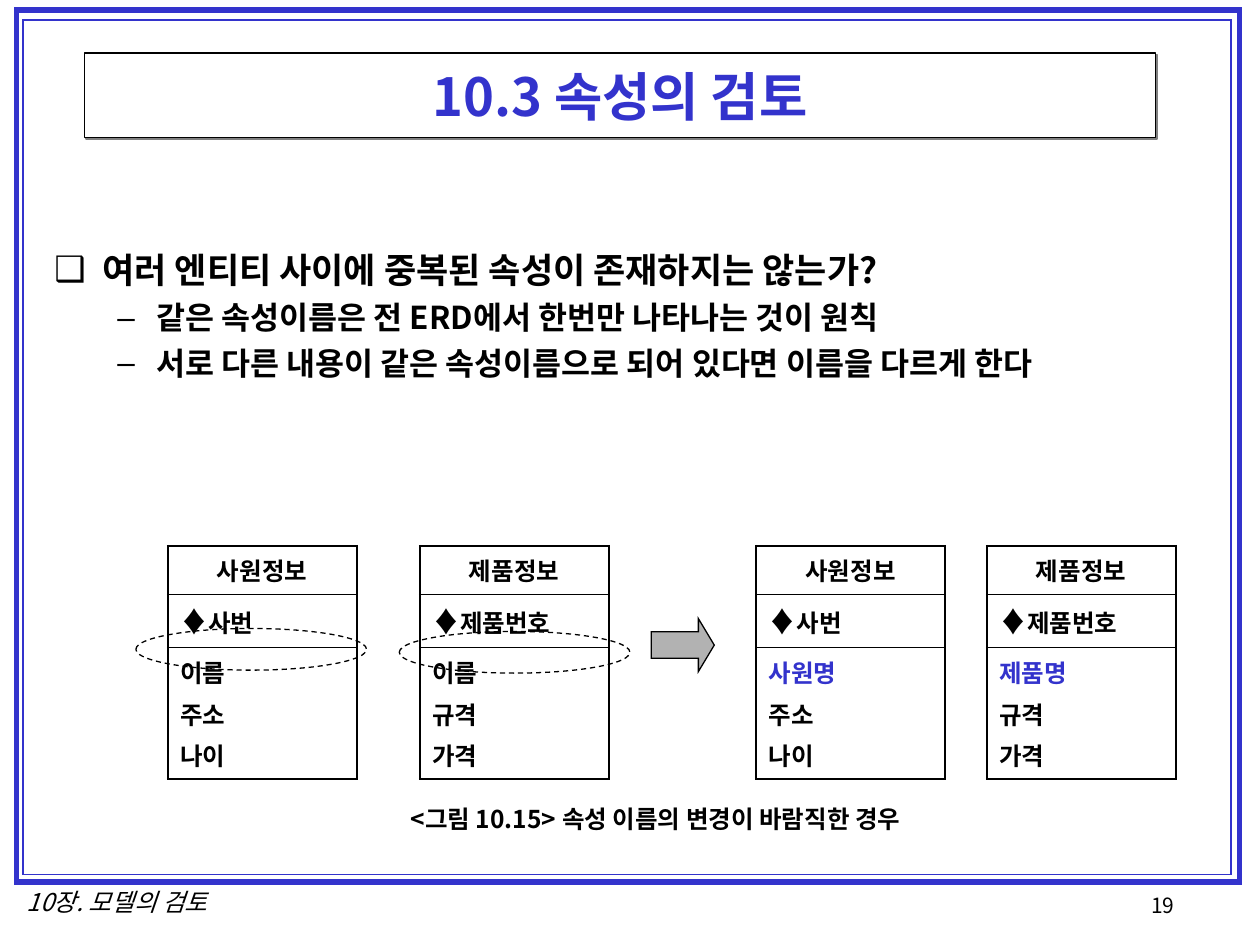
from lxml.etree import SubElement
from pptx import Presentation
from pptx.dml.color import RGBColor
from pptx.enum.dml import MSO_LINE_DASH_STYLE as Dash
from pptx.enum.shapes import MSO_SHAPE as Shape
from pptx.enum.text import MSO_ANCHOR as Anchor, MSO_AUTO_SIZE as AutoSize, PP_ALIGN as Align
from pptx.oxml import parse_xml
from pptx.oxml.ns import nsdecls, qn
from pptx.util import Cm, Pt

BLUE, BLACK, WHITE, GRAY, SHADOW = "3333CC", "000000", "FFFFFF", "B2B2B2", "808080"
KOREAN = "Noto Sans CJK KR"


def colour(hex_value):
    return RGBColor.from_string(hex_value)


def add_run(paragraph, wording, size, ink=BLACK, face=KOREAN, **formats):
    run = paragraph.add_run()
    run.text = wording
    for key, value in {"size": Pt(size), "name": face, **formats}.items():
        setattr(run.font, key, value)
    run.font.color.rgb = colour(ink)
    SubElement(run.font._element, qn("a:ea"), typeface=KOREAN)


deck = Presentation()
deck.slide_width, deck.slide_height = Cm(25.4), Cm(19.05)
slide = deck.slides.add_slide(deck.slide_layouts[1])
shapes = slide.shapes
heading, points = slide.placeholders

outlines = [
    (Shape.RECTANGLE, 0.33, 0.2, 24.66, 17.58, None, BLUE, 3, None),
    (Shape.RECTANGLE, 0.46, 0.41, 24.36, 17.22, None, BLUE, 1, None),
    (Shape.RIGHT_ARROW, 13.13, 12.47, 1.27, 1.07, GRAY, BLACK, 0.75, None),
    (Shape.OVAL, 2.74, 12.67, 4.65, 0.84, None, BLACK, 0.75, Dash.DASH),
    (Shape.OVAL, 8.05, 12.73, 4.65, 0.84, None, BLACK, 0.75, Dash.DASH),
]
marks = []
for kind, left, top, width, height, fill, ink, weight, dash in outlines:
    mark = shapes.add_shape(kind, Cm(left), Cm(top), Cm(width), Cm(height))
    mark.shadow.inherit = False
    if fill:
        mark.fill.solid()
        mark.fill.fore_color.rgb = colour(fill)
    else:
        mark.fill.background()
    mark.line.color.rgb = colour(ink)
    mark.line.width = Pt(weight)
    if dash:
        mark.line.dash_style = dash
    SubElement(mark._element.spPr.get_or_add_ln(), qn("a:miter"), lim="800000")
    marks.append(mark)
marks[2].adjustments[1] = 0.3
for frame in marks[1::-1]:
    shapes._spTree.insert(2, frame._element)

captions = [
    ("19", 22.96, 17.86, 2.59, 0.84, 12, Align.LEFT, {}),
    ("10장. 모델의 검토", 0.1, 17.75, 4.52, 0.86, 14, Align.CENTER, {"italic": True}),
    ("<그림 10.15> 속성 이름의 변경이 바람직한 경우", 8.03, 16.08, 10.95, 0.86, 14, Align.LEFT, {"bold": True}),
]
for wording, left, top, width, height, size, align, formats in captions:
    caption = shapes.add_textbox(Cm(left), Cm(top), Cm(width), Cm(height)).text_frame
    caption.word_wrap = False
    caption.auto_size = AutoSize.SHAPE_TO_FIT_TEXT
    caption.paragraphs[0].alignment = align
    add_run(caption.paragraphs[0], wording, size, **formats)

for holder, left, top, width, height in [
    (heading, 1.7, 1.07, 21.59, 1.7),
    (points, 0.84, 4.88, 23.55, 12.37),
]:
    for side, length in {"left": left, "top": top, "width": width, "height": height}.items():
        setattr(holder, side, Cm(length))

heading.fill.solid()
heading.fill.fore_color.rgb = colour(WHITE)
heading.line.color.rgb = colour(BLACK)
heading.line.width = Pt(0.75)
heading._element.spPr.append(parse_xml(
    f'<a:effectLst {nsdecls("a")}><a:outerShdw blurRad="0" dist="{Pt(1.4)}" dir="2700000" '
    f'algn="ctr" rotWithShape="0"><a:srgbClr val="{SHADOW}"/></a:outerShdw></a:effectLst>'))
heading.text_frame.vertical_anchor = Anchor.MIDDLE
heading_line = heading.text_frame.paragraphs[0]
heading_line.alignment = Align.CENTER
add_run(heading_line, "10.3 속성의 검토", 30, BLUE, bold=True)

questions = [
    ("여러 엔티티 사이에 중복된 속성이 존재하지는 않는가?", 0, 20, 5, 0.97, 0.97, "❑"),
    ("같은 속성이름은 전 ERD에서 한번만 나타나는 것이 원칙", 1, 18, 4.5, 2.06, 0.79, "–"),
    ("서로 다른 내용이 같은 속성이름으로 되어 있다면 이름을 다르게 한다", 1, 18, 4.5, 2.06, 0.79, "–"),
]
body = points.text_frame
for index, (wording, level, size, gap, margin, hanging, bullet) in enumerate(questions):
    question = body.add_paragraph() if index else body.paragraphs[0]
    question.level = level
    question.space_before = Pt(gap)
    layout = question._p.get_or_add_pPr()
    layout.set("marL", str(Cm(margin)))
    layout.set("indent", str(-Cm(hanging)))
    SubElement(SubElement(layout, qn("a:buClr")), qn("a:srgbClr"), val=BLACK)
    SubElement(layout, qn("a:buChar"), char=bullet)
    add_run(question, wording, size, bold=True)

entities = [
    (3.38, "사원정보", "사번", ["이름", "주소", "나이"], BLACK),
    (8.46, "제품정보", "제품번호", ["이름", "규격", "가격"], BLACK),
    (15.24, "사원정보", "사번", ["사원명", "주소", "나이"], BLUE),
    (19.89, "제품정보", "제품번호", ["제품명", "규격", "가격"], BLUE),
]
row_heights = [0.98, 1.07, 2.66]
border_weights = [(1.08, 0.45), (0.45, 0.45), (0.45, 1.08)]
for left, entity, key, attributes, first_ink in entities:
    table = shapes.add_table(3, 1, Cm(left), Cm(11), Cm(3.81), Cm(sum(row_heights))).table
    table.first_row = table.horz_banding = False
    contents = [
        [[(entity, 14, BLACK, KOREAN)]],
        [[("♦", 16, BLACK, "Arial"), (key, 14, BLACK, KOREAN)]],
        [[(name, 14, BLACK if place else first_ink, KOREAN)] for place, name in enumerate(attributes)],
    ]
    for row, (lines, height, (above, below)) in enumerate(zip(contents, row_heights, border_weights)):
        table.rows[row].height = Cm(height)
        cell = table.cell(row, 0)
        cell.fill.background()
        borders = {"lnL": 1.08, "lnR": 1.08, "lnT": above, "lnB": below}
        for place, (edge, weight) in enumerate(borders.items()):
            cell._tc.tcPr.insert(place, parse_xml(
                f'<a:{edge} {nsdecls("a")} w="{Pt(weight)}"><a:solidFill>'
                f'<a:srgbClr val="{BLACK}"/></a:solidFill></a:{edge}>'))
        for place, parts in enumerate(lines):
            line = cell.text_frame.add_paragraph() if place else cell.text_frame.paragraphs[0]
            line.alignment = Align.LEFT if row else Align.CENTER
            line.space_before = Pt(3.5)
            for part in parts:
                add_run(line, *part, bold=True)

deck.save("out.pptx")
